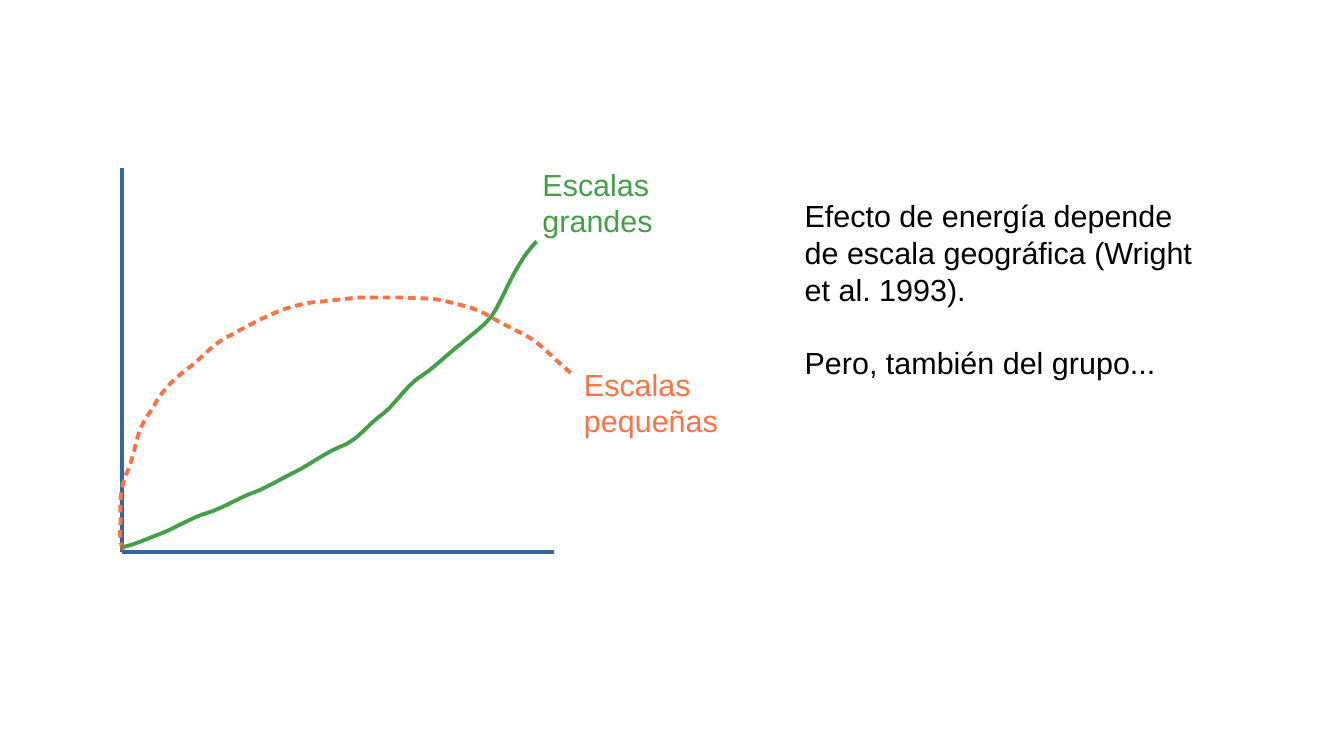
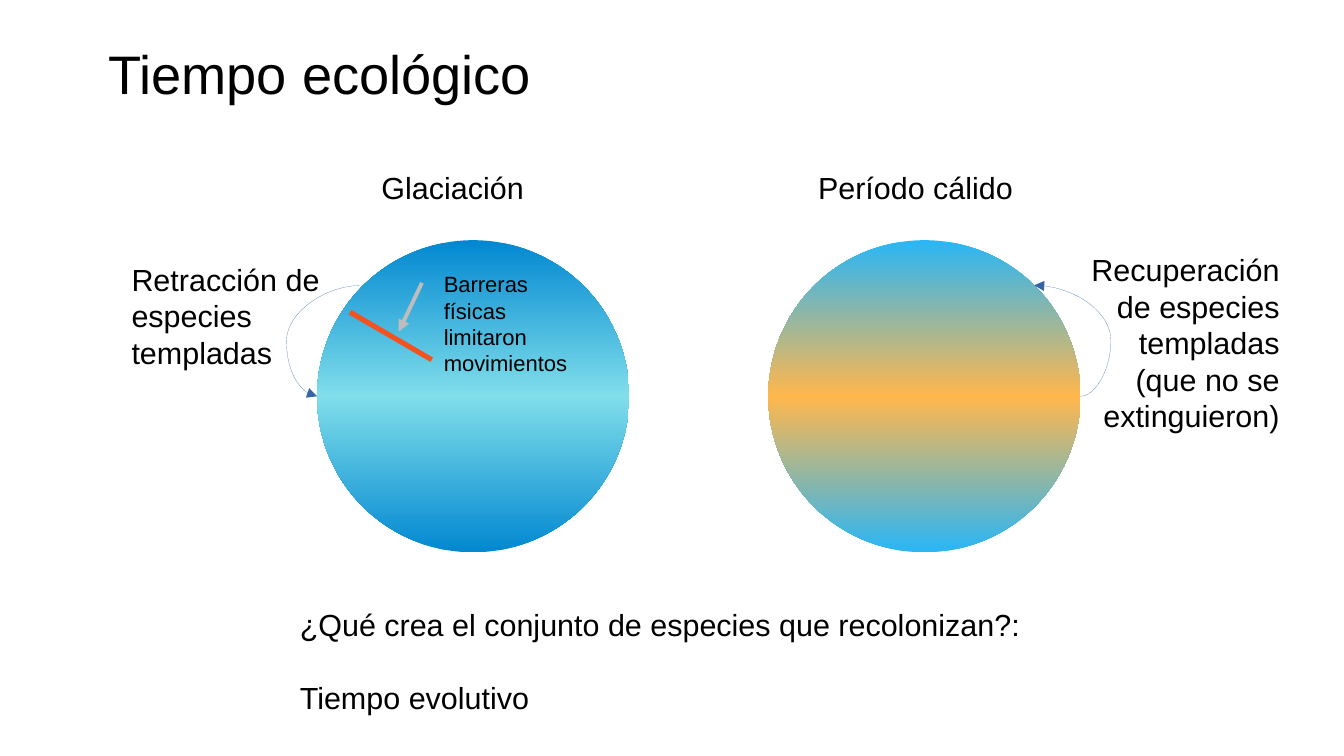
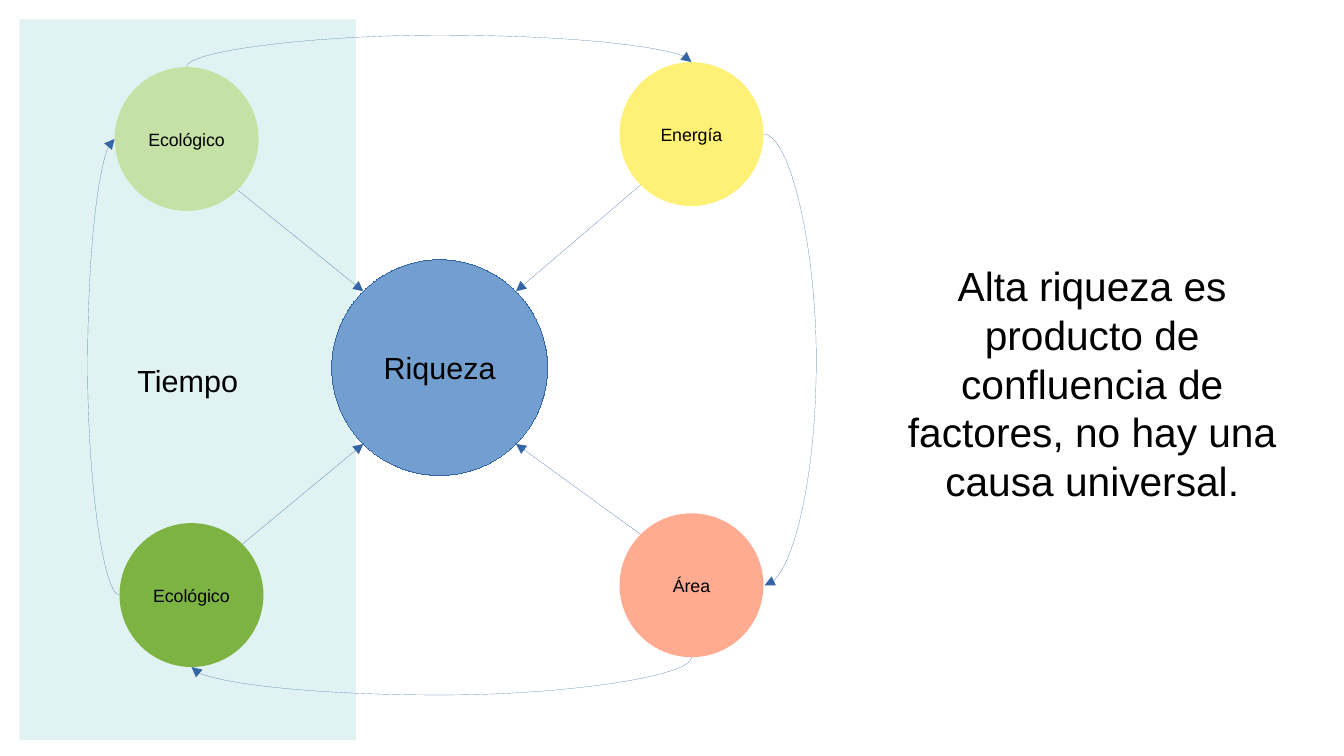
from copy import deepcopy
from dataclasses import dataclass
from math import copysign, sqrt
from typing import Optional

from lxml.etree import SubElement
from pptx import Presentation
from pptx.dml.color import RGBColor
from pptx.enum.shapes import MSO_CONNECTOR, MSO_SHAPE
from pptx.enum.text import MSO_ANCHOR, MSO_AUTO_SIZE, PP_ALIGN
from pptx.oxml.ns import qn
from pptx.util import Inches, Pt

FONT = "Arial"
COLORS = {
    "text": "000000", "line": "3465A4",
    "small": "FF7043", "large": "43A047",
    "cold": "0288D1", "ice": "80DEEA", "sky": "29B6F6", "warm": "FFB74D",
    "barrier": "F4511E", "pointer": "BDBDBD",
    "band": "E0F2F1", "lime": "C5E1A5", "green": "7CB342",
    "coral": "FFAB91", "yellow": "FFF176", "hub": "729FCF",
}
AXIS_WIDTH = 2.3
LINE_GAP = 21.5
Point = tuple[float, float]
Segment = tuple[Point, ...]


@dataclass
class Label:
    paragraphs: list[str]
    left: float
    top: float
    width: float
    height: float
    size: float = 18
    color: str = "text"
    align: PP_ALIGN = PP_ALIGN.LEFT
    gap: float = 0


@dataclass
class Line:
    start: Point
    end: Point
    color: str = "line"
    width: float = 0
    arrow: bool = False


@dataclass
class Arc:
    start: Point
    end: Point
    bulge: float
    vertical: bool = False


@dataclass
class Curve:
    start: Point
    segments: list[Segment]
    color: str
    dashed: bool = False


@dataclass
class Circle:
    left: float
    top: float
    size: float
    fill: str
    text: str = ""
    font_size: float = 10.5
    outline: Optional[str] = None

    def at(self, dx: float, dy: float) -> Point:
        radius = self.size / 2
        return self.left + radius * (1 + dx), self.top + radius * (1 + dy)


def rgb(name: str) -> RGBColor:
    return RGBColor.from_string(COLORS[name])


def set_line(sp, color: str, width: float):
    sp.line.color.rgb = rgb(color)
    ln = sp.line._get_or_add_ln()
    ln.set("w", str(int(Pt(width))))
    return ln


def write(tf, paragraphs: list[str], size: float, color: str, align: PP_ALIGN, gap: float = 0) -> None:
    tf.word_wrap = True
    for i, text in enumerate(paragraphs):
        p = tf.paragraphs[0] if i == 0 else tf.add_paragraph()
        p.text = text
        p.alignment = align
        if i:
            p.space_before = Pt(gap)
        for r in p.runs:
            r.font.name = FONT
            r.font.size = Pt(size)
            r.font.color.rgb = rgb(color)


def add_label(s, label: Label) -> None:
    sp = s.shapes.add_textbox(Inches(label.left), Inches(label.top), Inches(label.width), Inches(label.height))
    write(sp.text_frame, label.paragraphs, label.size, label.color, label.align, label.gap)
    sp.text_frame.auto_size = MSO_AUTO_SIZE.SHAPE_TO_FIT_TEXT


def add_block(s, kind: MSO_SHAPE, left: float, top: float, width: float, height: float,
              fill: str, text: str = "", size: float = 18, outline: Optional[str] = None):
    sp = s.shapes.add_shape(kind, Inches(left), Inches(top), Inches(width), Inches(height))
    sp.shadow.inherit = False
    sp.fill.solid()
    sp.fill.fore_color.rgb = rgb(fill)
    if outline:
        set_line(sp, outline, 0)
    else:
        sp.line.fill.background()
    if text:
        sp.text_frame.vertical_anchor = MSO_ANCHOR.MIDDLE
        write(sp.text_frame, [text], size, "text", PP_ALIGN.CENTER)
    return sp


def add_circle(s, circle: Circle):
    return add_block(s, MSO_SHAPE.OVAL, circle.left, circle.top, circle.size, circle.size,
                     circle.fill, circle.text, circle.font_size, circle.outline)


def add_globe(s, left: float, poles: str, equator: str) -> None:
    sp = add_circle(s, Circle(left, 1.97, 2.56, poles))
    sp.fill.gradient()
    sp.fill.gradient_angle = 90
    stops = sp._element.spPr.find(qn("a:gradFill")).find(qn("a:gsLst"))
    stops.append(deepcopy(stops[0]))
    for i, (stop, name) in enumerate(zip(sp.fill.gradient_stops, (poles, equator, poles))):
        stop.position = i / 2
        stop.color.rgb = rgb(name)


def add_connector(s, kind: MSO_CONNECTOR, line: Line):
    cn = s.shapes.add_connector(kind, *(Inches(v) for v in (*line.start, *line.end)))
    ln = set_line(cn, line.color, line.width)
    if line.arrow:
        SubElement(ln, qn("a:tailEnd"), type="triangle")
    SubElement(cn._element.spPr, qn("a:effectLst"))
    return cn


def add_line(s, line: Line) -> None:
    add_connector(s, MSO_CONNECTOR.STRAIGHT, line)


def add_arc(s, arc: Arc) -> None:
    (x1, y1), (x2, y2) = arc.start, arc.end
    start, end, axis = arc.start, arc.end, 0
    if arc.vertical:
        cx, cy = (x1 + x2) / 2, (y1 + y2) / 2
        start = (cx + y1 - cy, cy - x1 + cx)
        end = (cx + y2 - cy, cy - x2 + cx)
        axis = 1
    cn = add_connector(s, MSO_CONNECTOR.CURVE, Line(start, end, arrow=True))
    spPr = cn._element.spPr
    if arc.vertical:
        spPr.find(qn("a:xfrm")).set("rot", "5400000")
    ratio = (arc.bulge - arc.start[axis]) / (arc.end[axis] - arc.start[axis])
    guides = spPr.find(qn("a:prstGeom")).get_or_add_avLst()
    SubElement(guides, qn("a:gd"), name="adj1", fmla=f"val {round(ratio * 100000)}")


def add_curve(s, curve: Curve) -> None:
    builder = s.shapes.build_freeform(*(Inches(v) for v in curve.start))
    builder.add_line_segments([(Inches(x), Inches(y)) for x, y in (seg[-1] for seg in curve.segments)], close=False)
    sp = builder.convert_to_shape()
    for node, segment in zip(list(sp._element.iter(qn("a:lnTo"))), curve.segments):
        if len(segment) == 3:
            bezier = SubElement(node.getparent(), qn("a:cubicBezTo"))
            for x, y in segment:
                SubElement(bezier, qn("a:pt"), x=str(Inches(x) - sp.left), y=str(Inches(y) - sp.top))
            node.getparent().replace(node, bezier)
    sp.shadow.inherit = False
    sp.fill.background()
    ln = set_line(sp, curve.color, AXIS_WIDTH)
    if curve.dashed:
        dash = SubElement(ln, qn("a:custDash"))
        SubElement(dash, qn("a:ds"), d="197000", sp="127000")


SMALL_SCALES = Curve((1.01, 4.51), [
    ((0.97, 4.42), (0.99, 4.32), (0.99, 4.23)),
    ((0.98, 4.12), (0.99, 4.01), (1.03, 3.9)),
    ((1.08, 3.8), (1.1, 3.69), (1.13, 3.58)),
    ((1.16, 3.46), (1.24, 3.38), (1.29, 3.28)),
    ((1.36, 3.17), (1.46, 3.08), (1.57, 3)),
    ((1.68, 2.91), (1.76, 2.81), (1.89, 2.75)),
    ((2, 2.69), (2.11, 2.63), (2.22, 2.58)),
    ((2.33, 2.53), (2.44, 2.5), (2.56, 2.48)),
    ((2.69, 2.47), (2.82, 2.45), (2.95, 2.44)),
    ((3.07, 2.44), (3.19, 2.44), (3.31, 2.44)),
    ((3.42, 2.45), (3.54, 2.44), (3.65, 2.47)),
    ((3.77, 2.5), (3.88, 2.52), (3.99, 2.58)),
    ((4.09, 2.64), (4.19, 2.69), (4.29, 2.74)),
    ((4.41, 2.8), (4.49, 2.89), (4.59, 2.98)),
    ((4.68, 3.06),),
    ((4.69, 3.07),),
], "small", dashed=True)

LARGE_SCALES = Curve((0.99, 4.49), [
    ((1.1, 4.47), (1.2, 4.42), (1.31, 4.38)),
    ((1.44, 4.33), (1.56, 4.25), (1.69, 4.21)),
    ((1.82, 4.17), (1.93, 4.1), (2.05, 4.05)),
    ((2.17, 4.01), (2.28, 3.94), (2.4, 3.88)),
    ((2.53, 3.82), (2.65, 3.72), (2.8, 3.66)),
    ((2.93, 3.61), (3.01, 3.49), (3.12, 3.41)),
    ((3.24, 3.32), (3.31, 3.19), (3.43, 3.1)),
    ((3.56, 3.02), (3.66, 2.91), (3.78, 2.82)),
    ((3.88, 2.73), (4, 2.66), (4.07, 2.53)),
    ((4.13, 2.42), (4.18, 2.3), (4.24, 2.2)),
    ((4.3, 2.1),),
    ((4.38, 2),),
    ((4.4, 1.98),),
], "large")


def scale_slide(s) -> None:
    add_line(s, Line((1, 1.38), (1, 4.53), width=AXIS_WIDTH))
    add_line(s, Line((1, 4.53), (4.54, 4.53), width=AXIS_WIDTH))
    for curve in (SMALL_SCALES, LARGE_SCALES):
        add_curve(s, curve)
    for label in (
        Label(["Escalas pequeñas"], 4.69, 2.95, 1.77, 0.66, color="small"),
        Label(["Escalas grandes"], 4.35, 1.31, 1.77, 0.66, color="large"),
        Label(["Efecto de energía depende de escala geográfica (Wright et al. 1993).",
               "Pero, también del grupo..."], 6.5, 1.57, 3.54, 1.5, gap=LINE_GAP),
    ):
        add_label(s, label)


def ecological_time_slide(s) -> None:
    add_globe(s, 6.3, "sky", "warm")
    add_globe(s, 2.6, "cold", "ice")
    add_arc(s, Arc((2.97, 2.34), (2.6, 3.25), 2.35))
    add_arc(s, Arc((8.86, 3.25), (8.48, 2.34), 9.11))
    add_line(s, Line((2.87, 2.56), (3.54, 2.95), "barrier", 3))
    add_line(s, Line((3.46, 2.32), (3.27, 2.72), "pointer", AXIS_WIDTH, True))
    for label in (
        Label(["Glaciación"], 3.03, 1.34, 2.56, 0.38),
        Label(["Retracción de especies templadas"], 0.98, 2.09, 1.89, 0.94),
        Label(["Tiempo ecológico"], 0.79, 0.28, 9.84, 0.6, size=32),
        Label(["Período cálido"], 6.61, 1.34, 2.56, 0.38),
        Label(["Recuperación de especies templadas", "(que no se extinguieron)"],
              8.7, 2.01, 1.89, 1.5, align=PP_ALIGN.RIGHT),
        Label(["Barreras físicas limitaron movimientos"], 3.54, 2.17, 1.38, 0.91, size=13),
        Label(["¿Qué crea el conjunto de especies que recolonizan?:", "Tiempo evolutivo"],
              2.36, 4.92, 6.69, 0.94, gap=LINE_GAP),
    ):
        add_label(s, label)


def richness_slide(s) -> None:
    add_block(s, MSO_SHAPE.RECTANGLE, 0.16, 0.16, 2.76, 5.91, "band", "Tiempo")
    upper = Circle(0.94, 0.55, 1.18, "lime", "Ecológico")
    lower = Circle(0.98, 4.29, 1.18, "green", "Ecológico")
    area = Circle(5.08, 4.21, 1.18, "coral", "Área")
    energy = Circle(5.08, 0.51, 1.18, "yellow", "Energía")
    hub = Circle(2.72, 2.13, 1.77, "hub", "Riqueza", 18, "line")
    factors = (upper, lower, area, energy)
    for circle in (*factors, hub):
        add_circle(s, circle)
    hub_x, hub_y = hub.at(0, 0)
    for factor in factors:
        x, y = factor.at(0, 0)
        dx, dy = copysign(sqrt(0.5), hub_x - x), copysign(sqrt(0.5), hub_y - y)
        add_line(s, Line(factor.at(dx, dy), hub.at(-dx, -dy), arrow=True))
    right_x, right_y = area.at(1, 0)
    for arc in (
        Arc(lower.at(-1, 0), upper.at(-1, 0), 0.72),
        Arc(upper.at(0, -1), energy.at(0, -1), 0.29, vertical=True),
        Arc(energy.at(1, 0), (right_x + 0.01, right_y), 6.7),
        Arc(area.at(0, 1), lower.at(0, 1), 5.7, vertical=True),
    ):
        add_arc(s, arc)
    add_label(s, Label(["Alta riqueza es producto de confluencia de factores, no hay una causa universal."],
                       7.28, 2.09, 3.35, 1.96, size=24, align=PP_ALIGN.CENTER))


def main() -> None:
    prs = Presentation()
    prs.slide_width, prs.slide_height = Inches(11.02), Inches(6.2)
    for build in (scale_slide, ecological_time_slide, richness_slide):
        build(prs.slides.add_slide(prs.slide_layouts[6]))
    prs.save("out.pptx")


if __name__ == "__main__":
    main()
